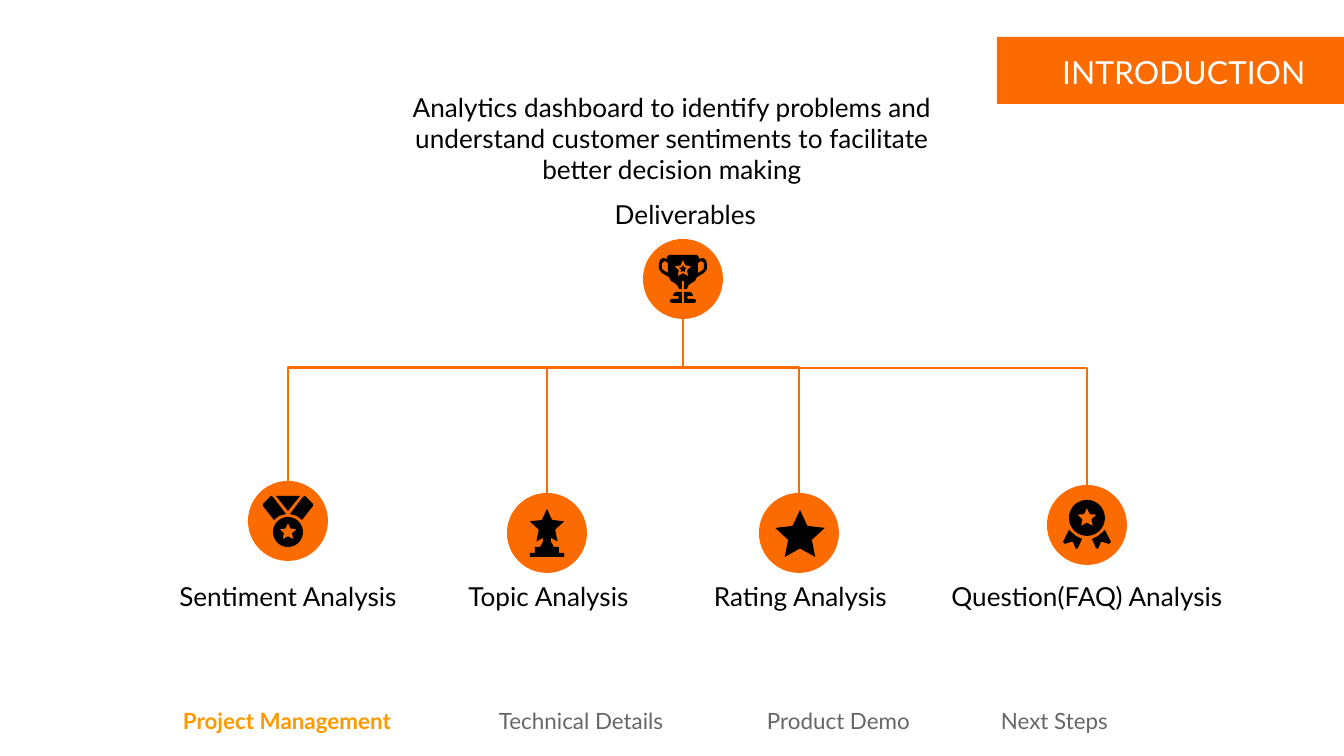
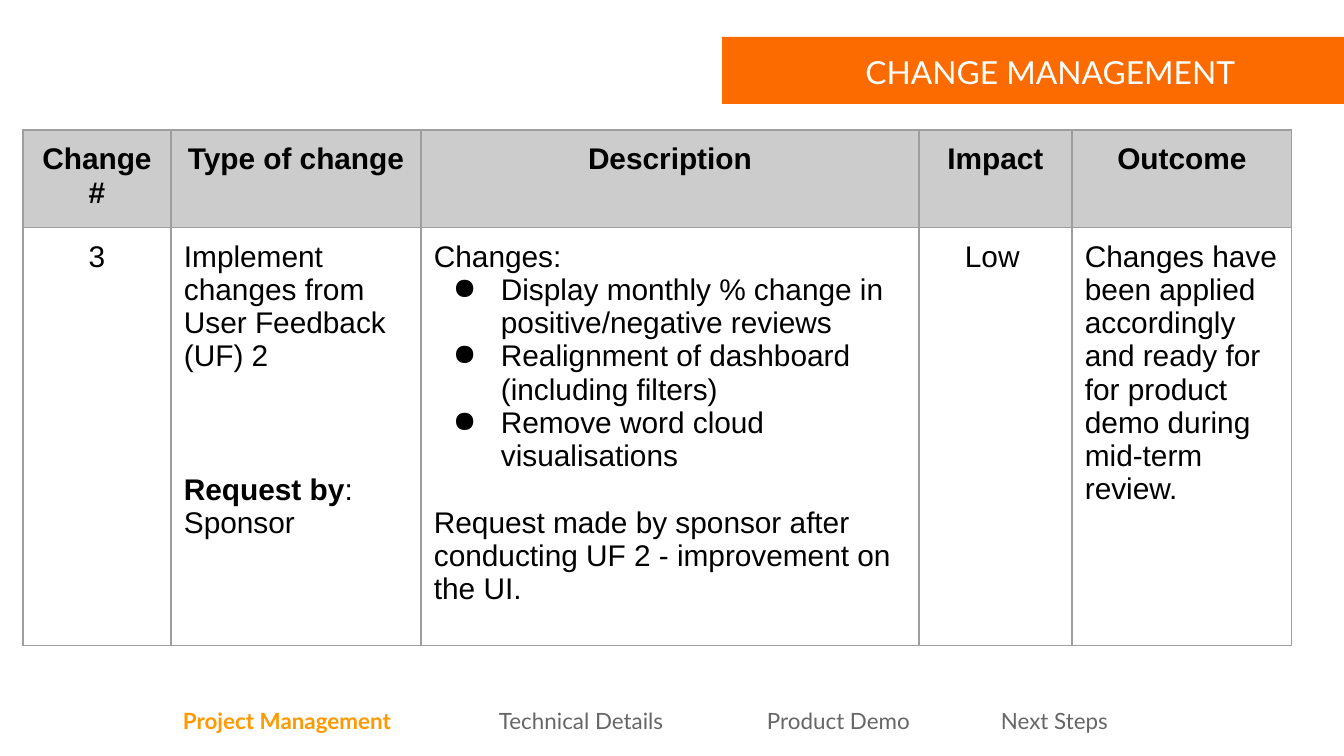
import dataclasses
import math

import lxml.etree
import pptx
import pptx.dml.color
import pptx.enum.shapes
import pptx.enum.text
import pptx.oxml.ns
import pptx.util

EMU_PER_PX = 914400 / 134.4
SHAPE = pptx.enum.shapes.MSO_SHAPE
ALIGN = pptx.enum.text.PP_ALIGN
ANCHOR = pptx.enum.text.MSO_ANCHOR


@dataclasses.dataclass(frozen=True)
class Theme:
    accent: str = "FB6B00"
    active: str = "FF9900"
    muted: str = "666666"
    ink: str = "000000"
    paper: str = "FFFFFF"
    header: str = "CCCCCC"
    grid: str = "9E9E9E"
    sans: str = "Lato"
    table: str = "Arial"
    title_size: int = 17
    label_size: int = 14
    footer_size: int = 12
    table_size: int = 16
    branch_line: float = 1.5
    grid_line: float = 0.75


THEME = Theme()
INSET = 13
BAND_TOP, BAND_HEIGHT, BAND_RIGHT = 37, 67, 1371
NODE_SIZE = 80
BUS_Y = 368
SECTIONS = ["Project Management", "Technical Details", "Product Demo", "Next Steps"]
SECTION_STARTS = [183, 499, 767, 1001]


def px(value):
    return round(value * EMU_PER_PX)


def rgb(value):
    return pptx.dml.color.RGBColor.from_string(value)


def apply_format(target, values):
    for name, value in values.items():
        setattr(target, name, value)


def add_element(parent, tag, **attributes):
    element = lxml.etree.SubElement(parent, pptx.oxml.ns.qn(tag))
    for name, value in attributes.items():
        element.set(name, str(value))
    return element


def write_run(paragraph, text, size, color, face=THEME.sans, bold=False):
    run = paragraph.add_run()
    run.text = text
    apply_format(run.font, {"name": face, "size": pptx.util.Pt(size), "bold": bold})
    run.font.color.rgb = rgb(color)


def add_text_frame(slide, box, anchor=ANCHOR.BOTTOM, left_inset=INSET):
    frame = slide.shapes.add_textbox(*map(px, box)).text_frame
    apply_format(frame, {
        "word_wrap": True, "vertical_anchor": anchor, "margin_left": px(left_inset),
        "margin_right": px(INSET), "margin_top": px(INSET), "margin_bottom": px(INSET),
    })
    return frame


def add_label(slide, text, box, size=THEME.label_size, color=THEME.ink, anchor=ANCHOR.BOTTOM):
    paragraph = add_text_frame(slide, box, anchor).paragraphs[0]
    paragraph.alignment = ALIGN.CENTER
    write_run(paragraph, text, size, color)


def paint(shape, color):
    shape.shadow.inherit = False
    shape.fill.solid()
    shape.fill.fore_color.rgb = rgb(color)
    shape.line.fill.background()


def add_block(slide, kind, box, color=THEME.accent):
    paint(slide.shapes.add_shape(kind, *map(px, box)), color)


def add_title_band(slide, title, band_left, title_left):
    add_block(slide, SHAPE.RECTANGLE,
              (band_left, BAND_TOP, BAND_RIGHT - band_left, BAND_HEIGHT))
    add_label(slide, title, (title_left, BAND_TOP, BAND_RIGHT - title_left, BAND_HEIGHT),
              THEME.title_size, THEME.paper)


def add_footer(slide, current):
    left, first = 23, SECTION_STARTS[0]
    paragraph = add_text_frame(slide, (left, 689, 1300, 67), ANCHOR.TOP, first - left).paragraphs[0]
    tabs = add_element(paragraph._p.get_or_add_pPr(), "a:tabLst")
    for start in SECTION_STARTS[1:]:
        add_element(tabs, "a:tab", pos=px(start - first), algn="l")
    paragraph.line_spacing = 1.2
    for index, section in enumerate(SECTIONS):
        active = section == current
        write_run(paragraph, ("\t" if index else "") + section, THEME.footer_size,
                  THEME.active if active else THEME.muted, bold=active)


def circle(y, radius):
    angles = [math.radians(step * 10) for step in range(36)]
    return [(radius * math.cos(a), y + radius * math.sin(a)) for a in angles]


def star(y, radius, x=0, ratio=0.48):
    points = []
    for step in range(10):
        reach = radius * (ratio if step % 2 else 1)
        angle = math.radians(step * 36 - 90)
        points.append((x + reach * math.cos(angle), y + reach * math.sin(angle)))
    return points


def mirror(points):
    return [(-x, y) for x, y in reversed(points)]


def both_sides(points):
    return [points, mirror(points)]


def symmetric(right_half):
    return right_half + mirror(right_half)


HANDLE = [(18, -18), (15, -16), (15, -6), (20, -9), (21, -11), (21, -16)]
CUP = symmetric([(14, -24), (16, -22), (16, -20), (20, -21), (23, -19), (24, -15),
                 (24, -10), (21, -6), (14, -2), (12, 2), (7, 5), (5, 7), (4, 10)])
FOOT = symmetric([(6, 13), (9, 14), (10, 17), (5, 17), (4, 18), (5, 20), (11, 20),
                  (13, 21), (13, 23), (11, 24)])
STRAP = [(17, -25), (25, -17), (25, -15), (14, -1), (9, -5), (2, -7), (15, -24)]
RIBBON = [(18, 5), (11, 11), (5, 14), (9, 23), (11, 24), (14, 17), (16, 17), (22, 19), (24, 17)]
PEDESTAL = symmetric([(1, 2), (4, 5), (4, 9), (7, 14), (12, 14), (12, 20), (17, 20), (17, 24)])

TROPHY = [[CUP, *both_sides(HANDLE), star(-10, 9), star(-10, 4)], [FOOT]]
MEDAL = [[circle(11, 15), star(11, 9)], both_sides(STRAP), [[(-12, -25), (0, -10), (12, -25)]]]
STAR_AWARD = [[star(-6, 18)], [PEDESTAL]]
BIG_STAR = [[star(3, 26, x=1)]]
ROSETTE = [[circle(-7, 18), star(-7, 10)], both_sides(RIBBON)]


def add_icon(slide, parts, center_x, center_y):
    for contours in parts:
        placed = [[(px(center_x + x), px(center_y + y)) for x, y in c] for c in contours]
        builder = slide.shapes.build_freeform(*placed[0][0], scale=1.0)
        for index, contour in enumerate(placed):
            if index:
                builder.move_to(*contour[0])
            builder.add_line_segments(contour[1:], close=True)
        paint(builder.convert_to_shape(), THEME.ink)


def add_node(slide, icon, center_x, top):
    radius = NODE_SIZE // 2
    add_block(slide, SHAPE.OVAL, (center_x - radius, top, NODE_SIZE, NODE_SIZE))
    add_icon(slide, icon, center_x, top + radius)


def add_branch(slide, start, end):
    (start_x, start_y), (end_x, end_y) = start, end
    drop, reach = end_y - start_y, abs(end_x - start_x)
    left = (start_x + end_x - drop) / 2
    top = (start_y + end_y - reach) / 2
    branch = slide.shapes.add_connector(pptx.enum.shapes.MSO_CONNECTOR.ELBOW,
                                        px(left), px(top), px(left + drop), px(top + reach))
    properties = branch._element.spPr
    turn = {"rot": "5400000"} if end_x < start_x else {"rot": "16200000", "flipH": "1"}
    for name, value in turn.items():
        properties.find(pptx.oxml.ns.qn("a:xfrm")).set(name, value)
    geometry = properties.find(pptx.oxml.ns.qn("a:prstGeom"))
    for adjustments in list(geometry):
        geometry.remove(adjustments)
    bend = round((BUS_Y - start_y) / drop * 100000)
    add_element(add_element(geometry, "a:avLst"), "a:gd", name="adj1", fmla=f"val {bend}")
    branch.line.color.rgb = rgb(THEME.accent)
    branch.line.width = pptx.util.Pt(THEME.branch_line)
    add_element(properties, "a:effectLst")


def border_cell(cell):
    properties = cell._tc.get_or_add_tcPr()
    for side in ("a:lnL", "a:lnR", "a:lnT", "a:lnB"):
        edge = add_element(properties, side, w=pptx.util.Pt(THEME.grid_line))
        add_element(add_element(edge, "a:solidFill"), "a:srgbClr", val=THEME.grid)


def write_cell(cell, lines, fill=None):
    border_cell(cell)
    if fill:
        cell.fill.solid()
        cell.fill.fore_color.rgb = rgb(fill)
    else:
        cell.fill.background()
    apply_format(cell, {side: px(INSET) for side in
                        ("margin_left", "margin_right", "margin_top", "margin_bottom")})
    for index, line in enumerate(lines):
        frame = cell.text_frame
        paragraph = frame.add_paragraph() if index else frame.paragraphs[0]
        properties = paragraph._p.get_or_add_pPr()
        if "hang" in line:
            properties.set("marL", str(px(67)))
            properties.set("indent", str(px(-line["hang"])))
        if line.get("bullet"):
            add_element(add_element(properties, "a:buClr"), "a:srgbClr", val=THEME.ink)
            add_element(properties, "a:buChar", char="●")
        apply_format(paragraph, line.get("format", {}))
        for text, bold in line["runs"]:
            write_run(paragraph, text, THEME.table_size, THEME.ink, THEME.table, bold)


def plain(text, **extra):
    return {"runs": [(text, False)], **extra}


def bullet(text):
    return plain(text, hang=48, bullet=True)


def add_change_table(slide, headings, change):
    widths, heights = [148, 250, 498, 153, 220], [93, 392]
    table = slide.shapes.add_table(len(heights), len(widths), px(23), px(130),
                                   px(sum(widths)), px(sum(heights))).table
    apply_format(table, {"first_row": False, "horz_banding": False})
    for column, width in zip(table.columns, widths):
        column.width = px(width)
    for row, height in zip(table.rows, heights):
        row.height = px(height)
    for index, (heading, lines) in enumerate(zip(headings, change)):
        write_cell(table.cell(0, index),
                   [{"runs": [(heading, True)], "format": {"alignment": ALIGN.CENTER}}], THEME.header)
        write_cell(table.cell(1, index), lines)


def build_introduction(slide):
    add_title_band(slide, "INTRODUCTION", 997, 997)
    add_label(slide, "Analytics dashboard to identify problems and understand customer "
              "sentiments to facilitate better decision making", (368, 78, 608, 90),
              anchor=ANCHOR.TOP)
    add_label(slide, "Deliverables", (564, 176, 243, 67))
    root_x, root_top = 683, 239
    root_bottom = root_top + NODE_SIZE
    add_node(slide, TROPHY, root_x, root_top)
    deliverables = [
        ("Sentiment Analysis", MEDAL, 288, 481, 110, 356, root_bottom),
        ("Topic Analysis", STAR_AWARD, 547, 493, 427, 243, root_bottom),
        ("Rating Analysis", BIG_STAR, 799, 493, 679, 243, 281),
        ("Question(FAQ) Analysis", ROSETTE, 1087, 485, 927, 320, root_bottom),
    ]
    for name, icon, center_x, top, label_left, label_width, branch_top in deliverables:
        add_node(slide, icon, center_x, top)
        add_label(slide, name, (label_left, 558, label_width, 67))
        add_branch(slide, (root_x, branch_top), (center_x, top))


def build_change_management(slide):
    add_title_band(slide, "CHANGE MANAGEMENT", 722, 730)
    headings = ["Change #", "Type of change", "Description", "Impact", "Outcome"]
    change = [
        [plain("3", format={"alignment": ALIGN.CENTER})],
        [plain("Implement changes from User Feedback (UF) 2"),
         {"runs": [("Request by", True), (":", False)],
          "format": {"space_before": pptx.util.Pt(53.5)}},
         plain("Sponsor")],
        [plain("Changes:"),
         bullet("Display monthly % change in positive/negative reviews"),
         bullet("Realignment of dashboard (including filters)"),
         bullet("Remove word cloud visualisations"),
         plain("Request made by sponsor after conducting UF 2 - improvement on the UI.",
               format={"space_before": pptx.util.Pt(18)})],
        [plain("Low", hang=34)],
        [plain("Changes have been applied accordingly and ready for for product demo "
               "during mid-term review.")],
    ]
    add_change_table(slide, headings, change)


def main():
    deck = pptx.Presentation()
    apply_format(deck, {"slide_width": px(1344), "slide_height": px(756)})
    for build in (build_introduction, build_change_management):
        slide = deck.slides.add_slide(deck.slide_layouts[6])
        build(slide)
        add_footer(slide, "Project Management")
    deck.save("out.pptx")


if __name__ == "__main__":
    main()
